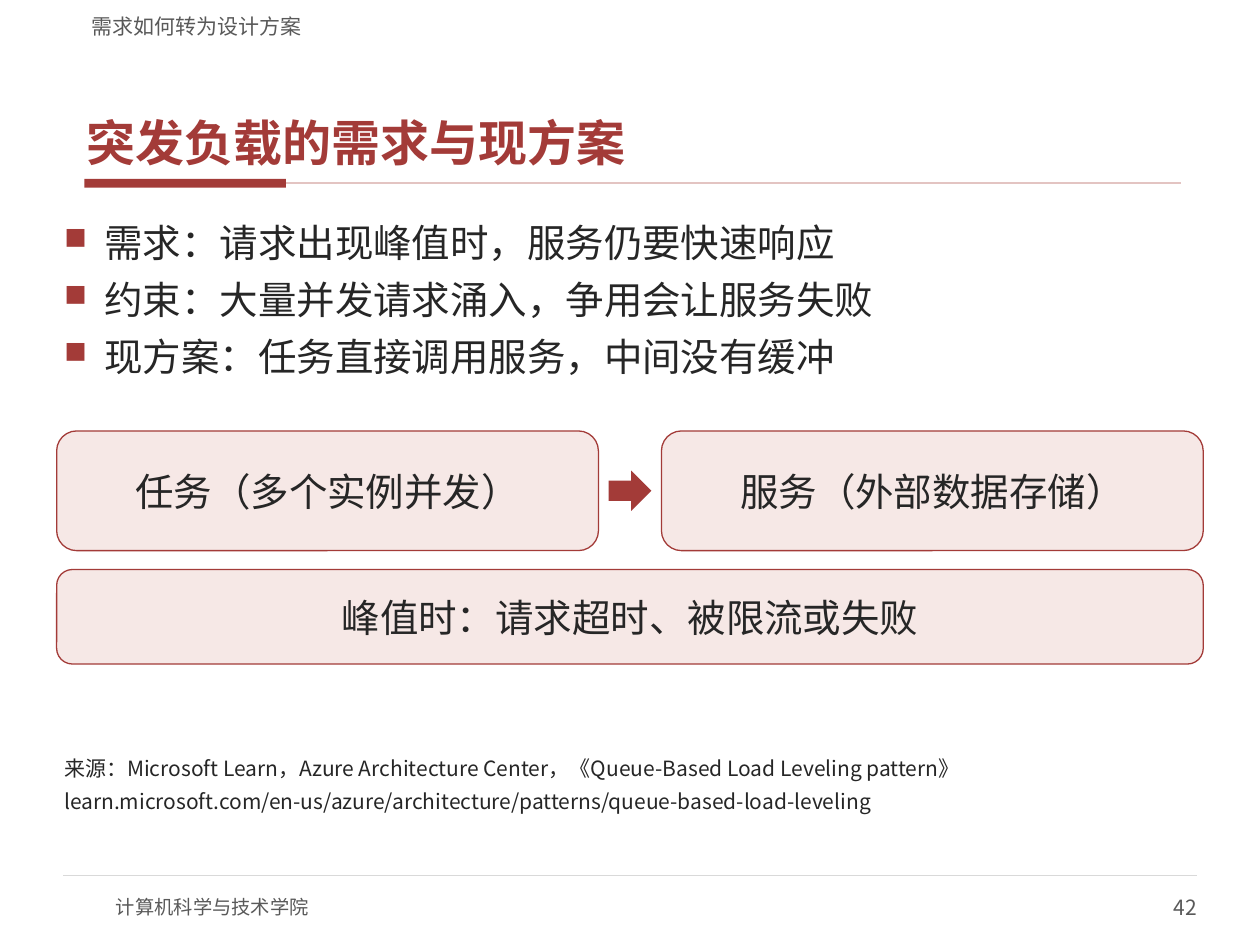
from lxml import etree
from pptx import Presentation
from pptx.dml.color import RGBColor
from pptx.enum import shapes, text
from pptx.oxml.ns import qn
from pptx.util import Pt

FONT = "Noto Sans CJK SC"
RED, PINK, INK, GREY = "A33B38", "F6E8E6", "262626", "595959"
CENTER, RIGHT = text.PP_ALIGN.CENTER, text.PP_ALIGN.RIGHT
TOP, MIDDLE, BOTTOM = (text.MSO_ANCHOR.TOP, text.MSO_ANCHOR.MIDDLE,
                       text.MSO_ANCHOR.BOTTOM)

SECTION = "需求如何转为设计方案"
TITLE = "突发负载的需求与现方案"
POINTS = [
    "需求：请求出现峰值时，服务仍要快速响应",
    "约束：大量并发请求涌入，争用会让服务失败",
    "现方案：任务直接调用服务，中间没有缓冲",
]
FLOW = ["任务（多个实例并发）", "服务（外部数据存储）"]
OUTCOME = "峰值时：请求超时、被限流或失败"
SOURCE = [
    "来源：Microsoft Learn，Azure Architecture Center，"
    "《Queue-Based Load Leveling pattern》",
    "learn.microsoft.com/en-us/azure/architecture/patterns/queue-based-load-leveling",
]
SCHOOL, PAGE = "计算机科学与技术学院", "42"

LEFT, WIDTH = 32.4, 655.2
FLOW_TOP, FLOW_HEIGHT, FLOW_GAP = 246.24, 68.4, 36
ARROW_WIDTH, ARROW_HEIGHT = 24.48, 23.04
INSETS = (4.32, 1.44)


def color(value):
    return RGBColor.from_string(value)


def add_bullet(paragraph):
    props = paragraph._p.get_or_add_pPr()
    props.set("marL", str(Pt(23.04)))
    props.set("indent", str(-Pt(23.04)))
    bullet_color = etree.SubElement(props, qn("a:buClr"))
    etree.SubElement(bullet_color, qn("a:srgbClr"), val=RED)
    etree.SubElement(props, qn("a:buSzPct"), val="80000")
    etree.SubElement(props, qn("a:buChar"), char="■")


def write(shape, lines, size, ink, align=None, anchor=TOP, insets=INSETS,
          before=0, after=0, bold=False, bullets=False):
    frame = shape.text_frame
    frame.word_wrap = True
    frame.auto_size = text.MSO_AUTO_SIZE.NONE
    frame.vertical_anchor = anchor
    frame.margin_left = frame.margin_right = Pt(insets[0])
    frame.margin_top = frame.margin_bottom = Pt(insets[1])
    for i, line in enumerate(lines):
        paragraph = frame.add_paragraph() if i else frame.paragraphs[0]
        if bullets:
            add_bullet(paragraph)
        paragraph.alignment = align or text.PP_ALIGN.LEFT
        paragraph.space_before = Pt(before if i else 0)
        paragraph.space_after = Pt(after)
        run = paragraph.add_run()
        run.text = line
        run.font.size = Pt(size)
        run.font.bold = bold
        run.font.name = FONT
        run.font.color.rgb = color(ink)
        east_asian = etree.Element(qn("a:ea"), typeface=FONT)
        run.font._element.find(qn("a:latin")).addnext(east_asian)


def add_text(slide, box, lines, size, ink, **style):
    write(slide.shapes.add_textbox(*map(Pt, box)), lines, size, ink, **style)


def add_block(slide, kind, box, fill, outline=None):
    block = slide.shapes.add_shape(kind, *map(Pt, box))
    block.shadow.inherit = False
    block.fill.solid()
    block.fill.fore_color.rgb = color(fill)
    if outline:
        block.line.color.rgb = color(outline)
        block.line.width = Pt(0.75)
    else:
        block.line.fill.background()
    return block


def add_card(slide, box, label):
    card = add_block(slide, shapes.MSO_SHAPE.ROUNDED_RECTANGLE, box, PINK, RED)
    write(card, [label], 22, INK, align=CENTER, anchor=MIDDLE, after=2)


def add_rule(slide, start, end, y, ink, width):
    rule = slide.shapes.add_connector(
        shapes.MSO_CONNECTOR.STRAIGHT, Pt(start), Pt(y), Pt(end), Pt(y))
    rule.line.color.rgb = color(ink)
    rule.line.width = Pt(width)
    etree.SubElement(rule._element.spPr, qn("a:effectLst"))


def main():
    deck = Presentation()
    deck.slide_width, deck.slide_height = Pt(720), Pt(540)
    slide = deck.slides.add_slide(deck.slide_layouts[5])

    add_block(slide, shapes.MSO_SHAPE.RECTANGLE, (48.24, 102.24, 115.2, 5.04), RED)
    add_rule(slide, 163.44, 674.64, 104.76, "E3C4C2", 1)
    add_rule(slide, 36, 684, 500.4, "D9D9D9", 0.75)
    add_text(slide, (66.24, 504, 288, 28.8), [SCHOOL], 11, GREY,
             anchor=MIDDLE, insets=(0, 0))
    add_text(slide, (540, 504, 144, 28.8), [PAGE], 12, GREY,
             align=RIGHT, anchor=MIDDLE, insets=(0, 0))

    title = slide.shapes.title
    title.left, title.top, title.width, title.height = map(
        Pt, (45.36, 23.76, 630, 75.6))
    write(title, [TITLE], 28, RED, anchor=BOTTOM, after=2, bold=True)

    add_text(slide, (LEFT, 123.84, WIDTH, 108), POINTS, 22, INK,
             before=4, after=2, bullets=True)

    card_width = (WIDTH - FLOW_GAP) / 2
    for i, label in enumerate(FLOW):
        left = LEFT + i * (card_width + FLOW_GAP)
        add_card(slide, (left, FLOW_TOP, card_width, FLOW_HEIGHT), label)
    arrow_left = LEFT + (WIDTH - ARROW_WIDTH) / 2
    arrow_top = FLOW_TOP + (FLOW_HEIGHT - ARROW_HEIGHT) / 2
    add_block(slide, shapes.MSO_SHAPE.RIGHT_ARROW,
              (arrow_left, arrow_top, ARROW_WIDTH, ARROW_HEIGHT), RED)
    add_card(slide, (LEFT, 325.44, WIDTH, 54), OUTCOME)

    add_text(slide, (LEFT, 430.56, WIDTH, 36), SOURCE, 12, INK,
             before=2, after=2)
    add_text(slide, (45.36, 2.88, 630, 19.44), [SECTION], 12, GREY,
             anchor=BOTTOM, insets=(7.2, 0))
    deck.save("out.pptx")


if __name__ == "__main__":
    main()
